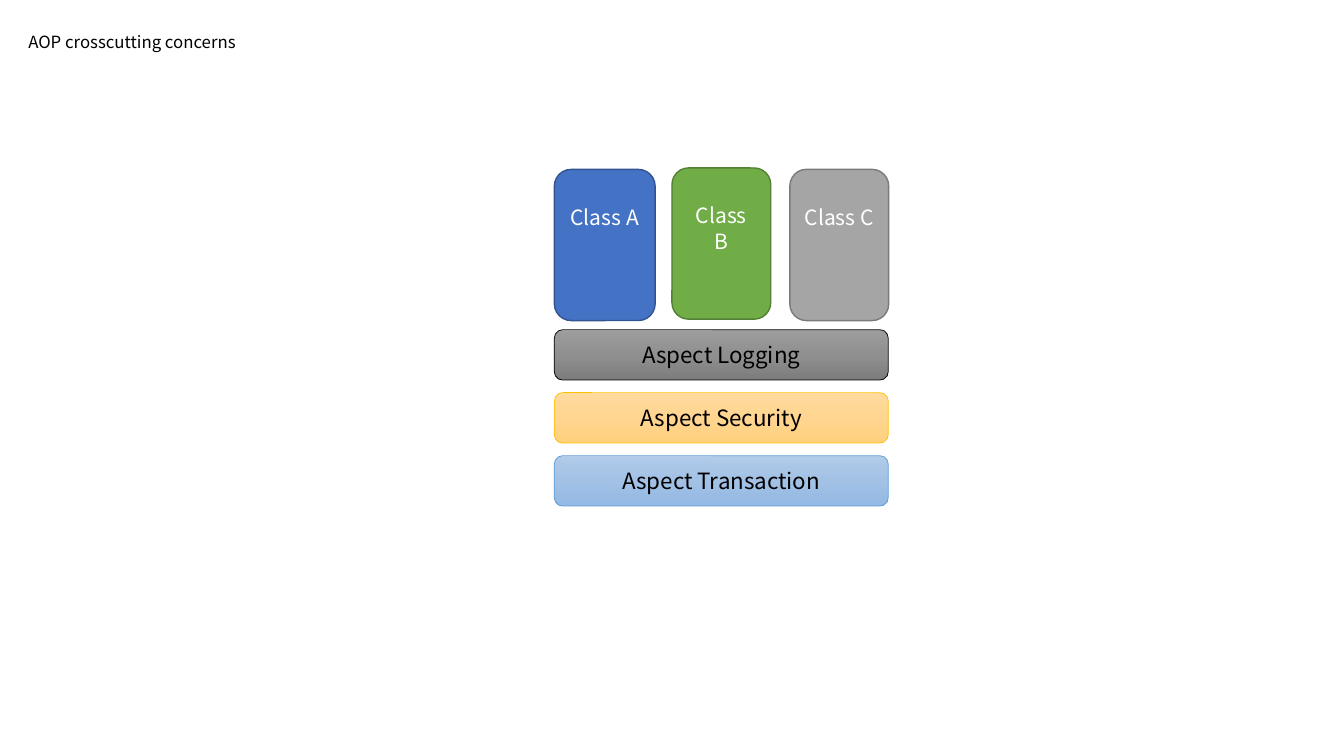
from copy import deepcopy

from pptx import Presentation
from pptx.dml.color import RGBColor
from pptx.enum.shapes import MSO_SHAPE
from pptx.enum.text import MSO_ANCHOR, MSO_AUTO_SIZE, PP_ALIGN
from pptx.oxml.ns import qn
from pptx.util import Pt

ROUNDED = MSO_SHAPE.ROUNDED_RECTANGLE
TOP, MIDDLE = MSO_ANCHOR.TOP, MSO_ANCHOR.MIDDLE
LEFT, CENTER = PP_ALIGN.LEFT, PP_ALIGN.CENTER
FIT_SHAPE = MSO_AUTO_SIZE.SHAPE_TO_FIT_TEXT
TITLE_ONLY = 5

FONT = "Noto Sans CJK KR"
BLACK = RGBColor(0x00, 0x00, 0x00)
WHITE = RGBColor(0xFF, 0xFF, 0xFF)
BLUE = RGBColor(0x44, 0x72, 0xC4)
BLUE_EDGE = RGBColor(0x32, 0x54, 0x91)
GREEN = RGBColor(0x70, 0xAD, 0x47)
GREEN_EDGE = RGBColor(0x53, 0x80, 0x35)
GRAY = RGBColor(0xA5, 0xA5, 0xA5)
GRAY_EDGE = RGBColor(0x7A, 0x7A, 0x7A)
AMBER_EDGE = RGBColor(0xFF, 0xC0, 0x00)
SKY_EDGE = RGBColor(0x5B, 0x9B, 0xD5)
DARK_SHADES = (RGBColor(0x9D, 0x9D, 0x9D), RGBColor(0x90, 0x90, 0x90), RGBColor(0x7C, 0x7C, 0x7C))
AMBER_SHADES = (RGBColor(0xFF, 0xDB, 0x9E), RGBColor(0xFF, 0xD5, 0x90), RGBColor(0xFF, 0xD0, 0x7C))
SKY_SHADES = (RGBColor(0xB1, 0xCB, 0xE9), RGBColor(0xA3, 0xC1, 0xE5), RGBColor(0x93, 0xB9, 0xE4))

STACK_LEFT = 396
STACK_WIDTH = 238.5
BAR_TOP = 235.5
BAR_STEP = 45
BAR_HEIGHT = 36
CLASS_HEIGHT = 108

CLASSES = [
    ("Class A", 396, 121, 72, BLUE, BLUE_EDGE),
    ("Class B", 480, 120, 70.56, GREEN, GREEN_EDGE),
    ("Class C", 564.2, 121, 70.56, GRAY, GRAY_EDGE),
]
ASPECTS = [
    ("Aspect Logging", DARK_SHADES, BLACK),
    ("Aspect Security", AMBER_SHADES, AMBER_EDGE),
    ("Aspect Transaction", SKY_SHADES, SKY_EDGE),
]


def write(box, text, size, color, align, anchor, inset_top=3.6):
    frame = box.text_frame
    frame.word_wrap = True
    frame.vertical_anchor = anchor
    frame.margin_left = frame.margin_right = Pt(7.2)
    frame.margin_top, frame.margin_bottom = Pt(inset_top), Pt(3.6)
    para = frame.paragraphs[0]
    para.alignment = align
    span = para.add_run()
    span.text = text
    span.font.name = FONT
    span.font.size = Pt(size)
    span.font.color.rgb = color


def add_title(page, text):
    title = page.shapes.title
    title.left, title.top = Pt(13), Pt(18.7)
    title.width, title.height = Pt(193.7), Pt(21.6)
    write(title, text, 12, BLACK, LEFT, TOP)
    title.text_frame.auto_size = FIT_SHAPE


def add_rounded(page, left, top, width, height, edge, edge_width):
    box = page.shapes.add_shape(ROUNDED, Pt(left), Pt(top), Pt(width), Pt(height))
    box.shadow.inherit = False
    box.line.color.rgb = edge
    box.line.width = Pt(edge_width)
    return box


def shade(box, colors):
    box.fill.gradient()
    box.fill.gradient_angle = 270
    stop_list = box.element.spPr.find(qn("a:gradFill")).find(qn("a:gsLst"))
    stop_list.insert(1, deepcopy(stop_list[0]))
    for stop, color, position in zip(box.fill.gradient_stops, colors, (0, 0.5, 1)):
        stop.color.rgb = color
        stop.position = position


def add_class(page, name, left, top, width, color, edge):
    box = add_rounded(page, left, top, width, CLASS_HEIGHT, edge, 1)
    box.fill.solid()
    box.fill.fore_color.rgb = color
    write(box, name, 15, WHITE, CENTER, TOP, inset_top=21.6)


def add_aspect(page, row, name, shades, edge):
    top = BAR_TOP + row * BAR_STEP
    box = add_rounded(page, STACK_LEFT, top, STACK_WIDTH, BAR_HEIGHT, edge, 0.5)
    shade(box, shades)
    write(box, name, 16, BLACK, CENTER, MIDDLE)


def main():
    deck = Presentation()
    deck.slide_width, deck.slide_height = Pt(960), Pt(540)
    page = deck.slides.add_slide(deck.slide_layouts[TITLE_ONLY])
    add_title(page, "AOP crosscutting concerns")
    for details in CLASSES:
        add_class(page, *details)
    for row, details in enumerate(ASPECTS):
        add_aspect(page, row, *details)
    deck.save("out.pptx")


if __name__ == "__main__":
    main()
